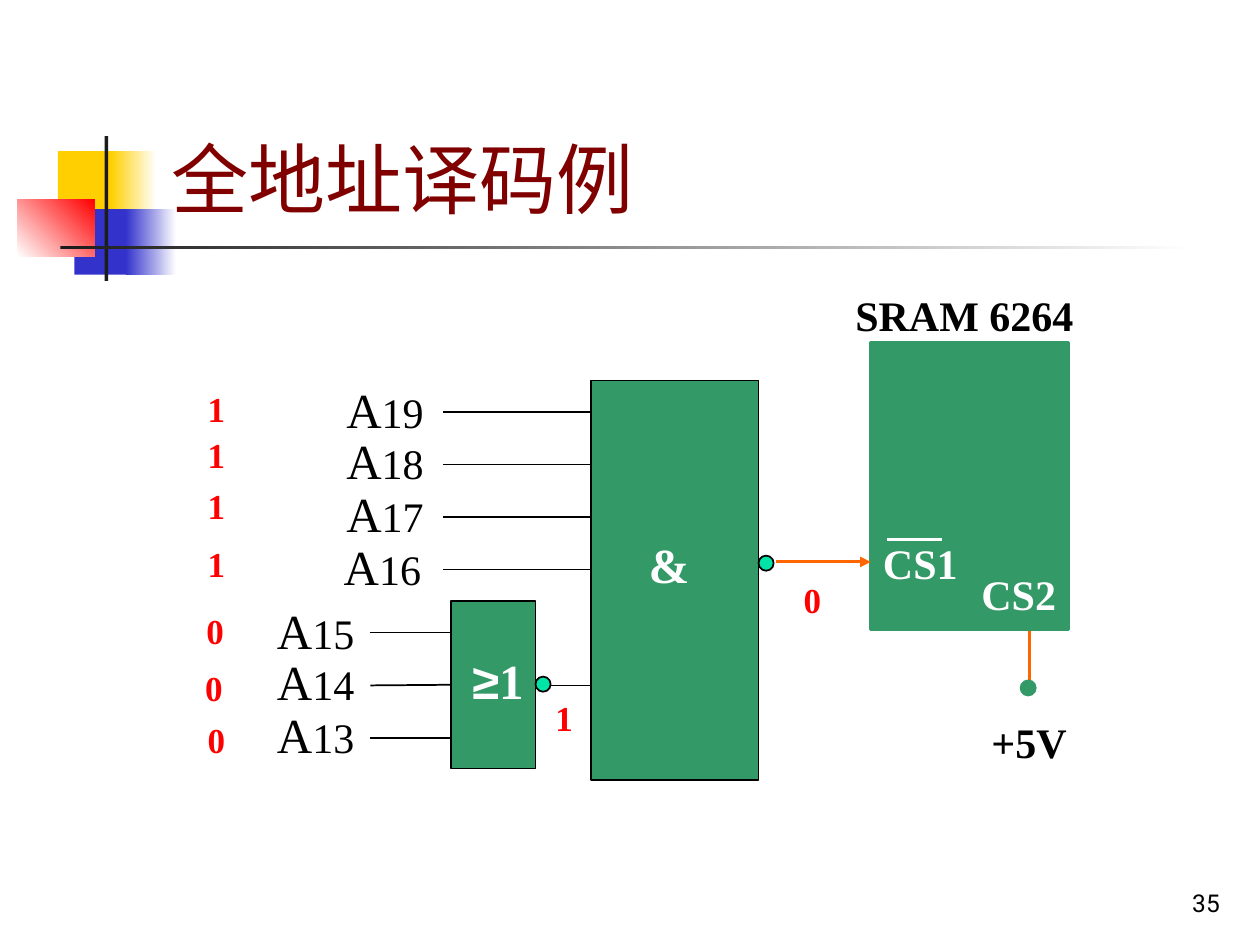
"""Build the full address decoding slide."""
from typing import Any, NamedTuple, Optional

from pptx import Presentation
from pptx import util as u
from pptx.dml import color
from pptx.enum import shapes, text
from pptx.oxml import ns, xmlchemy as xc

TIMES = "Times New Roman"
RECT, OVAL = shapes.MSO_SHAPE.RECTANGLE, shapes.MSO_SHAPE.OVAL
GREEN, BLACK, WHITE, RED = "339966", "000000", "FFFFFF", "FF0000"
ORANGE, MINT, YELLOW, BLUE, DARK = "FF6600", "00E4A8", "FFCF01", "3333CC", "1C1C1C"


class Box(NamedTuple):
    x: float
    y: float
    w: float
    h: float
    fill: str
    end: str = ""
    angle: int = 0
    line: str = ""
    width: float = 1
    kind: Any = RECT


class Run(NamedTuple):
    text: str
    size: float
    color: str = BLACK
    bold: bool = True
    font: str = TIMES


class Label(NamedTuple):
    x: float
    y: float
    w: float
    h: float
    runs: list[Run]
    wrap: bool = True


class Wire(NamedTuple):
    x: float
    y: float
    to_x: float
    to_y: float
    color: str = BLACK
    width: float = 1
    arrow: bool = False


def rgb(value: str) -> color.RGBColor:
    """Turn a hex string into a colour."""
    return color.RGBColor.from_string(value)


def apply(item: Any, **values: Any) -> None:
    """Set every given attribute on an item."""
    for name, value in values.items():
        setattr(item, name, value)


def place(item: Any, x: float, y: float, w: float, h: float) -> None:
    """Move and size an item in inches."""
    apply(item, left=u.Inches(x), top=u.Inches(y), width=u.Inches(w), height=u.Inches(h))


def write(para: Any, runs: list[Run]) -> None:
    """Add formatted runs to a paragraph."""
    for part in runs:
        run = para.add_run()
        run.text = part.text
        apply(run.font, size=u.Pt(part.size), bold=part.bold, name=part.font)
        run.font.color.rgb = rgb(part.color)


def draw_box(slide: Any, box: Box) -> Any:
    """Draw a plain or shaded shape."""
    shape = slide.shapes.add_shape(box.kind, *map(u.Inches, box[:4]))
    shape.shadow.inherit = False
    if box.end:
        shape.fill.gradient()
        shape.fill.gradient_angle = box.angle
        for stop, place_at, hue in zip(shape.fill.gradient_stops, (0, 1), (box.fill, box.end)):
            stop.position = place_at
            stop.color.rgb = rgb(hue)
    else:
        shape.fill.solid()
        shape.fill.fore_color.rgb = rgb(box.fill)
    if box.line:
        shape.line.color.rgb = rgb(box.line)
        shape.line.width = u.Pt(box.width)
    else:
        shape.line.fill.background()
    return shape


def draw_label(slide: Any, label: Label) -> Any:
    """Draw a text box and return its frame."""
    frame = slide.shapes.add_textbox(*map(u.Inches, label[:4])).text_frame
    apply(frame, word_wrap=label.wrap, auto_size=text.MSO_AUTO_SIZE.NONE)
    write(frame.paragraphs[0], label.runs)
    return frame


def draw_wire(slide: Any, wire: Wire) -> Any:
    """Draw a straight line, with an arrowhead if asked."""
    line = slide.shapes.add_connector(shapes.MSO_CONNECTOR.STRAIGHT, *map(u.Inches, wire[:4]))
    line.line.color.rgb = rgb(wire.color)
    line.line.width = u.Pt(wire.width)
    if wire.arrow:
        tail = xc.OxmlElement("a:tailEnd")
        tail.set("type", "triangle")
        line.line._get_or_add_ln().append(tail)
    props = line._element.find(ns.qn("p:spPr"))
    props.append(xc.OxmlElement("a:effectLst"))
    return line


def bit(x: float, y: float, value: str) -> Label:
    """Describe a red logic level."""
    return Label(x, y, 0.39, 0.44, [Run(value, 20, RED)])


def dot(x: float, y: float, fill: str = MINT, line: str = BLACK) -> Box:
    """Describe a small round terminal."""
    return Box(x, y, 0.12, 0.12, fill, line=line, kind=OVAL)


DECOR = [
    Box(0.46, 1.2, 0.48, 0.52, YELLOW),
    Box(0.88, 1.2, 0.36, 0.52, YELLOW, WHITE),
    Box(0.59, 1.66, 0.46, 0.52, BLUE),
    Box(1, 1.66, 0.4, 0.52, BLUE, WHITE),
    Box(0.14, 1.58, 0.61, 0.46, WHITE, RED, 45),
    Box(0.83, 1.08, 0.03, 1.15, DARK),
    Box(0.48, 1.95, 9, 0.03, DARK, WHITE),
]
SRAM = Box(6.91, 2.72, 1.57, 2.28, GREEN, line=GREEN, width=1.75)
AND = Box(4.69, 3.02, 1.33, 3.17, GREEN, line=BLACK)
OR = Box(3.58, 4.77, 0.67, 1.33, GREEN, line=BLACK)
ADDRESS = [(2.65, 2.96), (2.65, 3.37), (2.65, 3.79), (2.63, 4.21),
           (2.1, 4.72), (2.1, 5.12), (2.1, 5.54)]
BITS = [(1.55, 3.03, "1"), (1.55, 3.39, "1"), (1.55, 3.8, "1"), (1.55, 4.26, "1"),
        (1.54, 4.79, "0"), (1.53, 5.24, "0"), (1.55, 5.65, "0"),
        (6.28, 4.54, "0"), (4.31, 5.48, "1")]
LABELS = [
    Label(5.05, 4.19, 0.75, 0.57, [Run("&", 28, WHITE)]),
    Label(3.65, 5.11, 0.75, 0.57, [Run("≥", 28, WHITE, font="Arial"), Run("1", 28, WHITE)]),
    Label(6.91, 4.22, 0.94, 0.5, [Run("CS1", 24, WHITE)]),
    Label(7.69, 4.46, 0.94, 0.5, [Run("CS2", 24, WHITE)]),
    Label(6.69, 2.25, 1.93, 0.5, [Run("SRAM 6264", 24)], False),
    Label(7.77, 5.64, 1.02, 0.5, [Run("+5V", 24)]),
]
WIRES = [
    Wire(4.35, 5.44, AND.x, 5.44),
    Wire(6.16, 4.46, SRAM.x, 4.46, ORANGE, 1.75, True),
    Wire(7.04, 4.28, 7.48, 4.28, WHITE, 1.75),
    Wire(8.17, 5.01, 8.17, 5.48, ORANGE, 1.75),
]


def main() -> None:
    """Build and save the slide."""
    deck = Presentation()
    apply(deck, slide_width=u.Inches(10), slide_height=u.Inches(7.5))
    slide = deck.slides.add_slide(deck.slide_layouts[5])
    for box in DECOR:
        draw_box(slide, box)

    title = slide.shapes.title
    place(title, 1.26, 0.23, 8.52, 1.6)
    apply(title.text_frame, vertical_anchor=text.MSO_ANCHOR.BOTTOM,
          auto_size=text.MSO_AUTO_SIZE.NONE)
    head = title.text_frame.paragraphs[0]
    head.alignment = text.PP_ALIGN.LEFT
    write(head, [Run("全地址译码例", 44, "800000", False, "Roboto")])

    page = draw_label(slide, Label(7.7, 6.83, 2.08, 0.5, [Run("35", 14, BLACK, False, "Roboto")]))
    page.vertical_anchor = text.MSO_ANCHOR.BOTTOM
    page.paragraphs[0].alignment = text.PP_ALIGN.RIGHT

    _, _, gate = [draw_box(slide, box) for box in (SRAM, AND, OR)]
    for row in range(4):
        y = 3.27 + row * 0.417
        draw_wire(slide, Wire(3.52, y, AND.x, y))
    inputs = [draw_wire(slide, Wire(2.94, y, OR.x, y)) for y in (5.02, 5.44, 5.86)]
    inputs[1].end_connect(gate, 1)

    for step, (x, y) in enumerate(ADDRESS):
        name = [Run("A", 28, bold=False), Run(str(19 - step), 24, bold=False)]
        draw_label(slide, Label(x, y, 1, 0.57, name))
    for label in LABELS + [bit(*level) for level in BITS]:
        draw_label(slide, label)
    for wire in WIRES:
        draw_wire(slide, wire)
    for end in (dot(4.25, 5.37), dot(6.02, 4.41), dot(8.1, 5.4, GREEN, GREEN)):
        draw_box(slide, end)
    deck.save("out.pptx")


if __name__ == "__main__":
    main()
